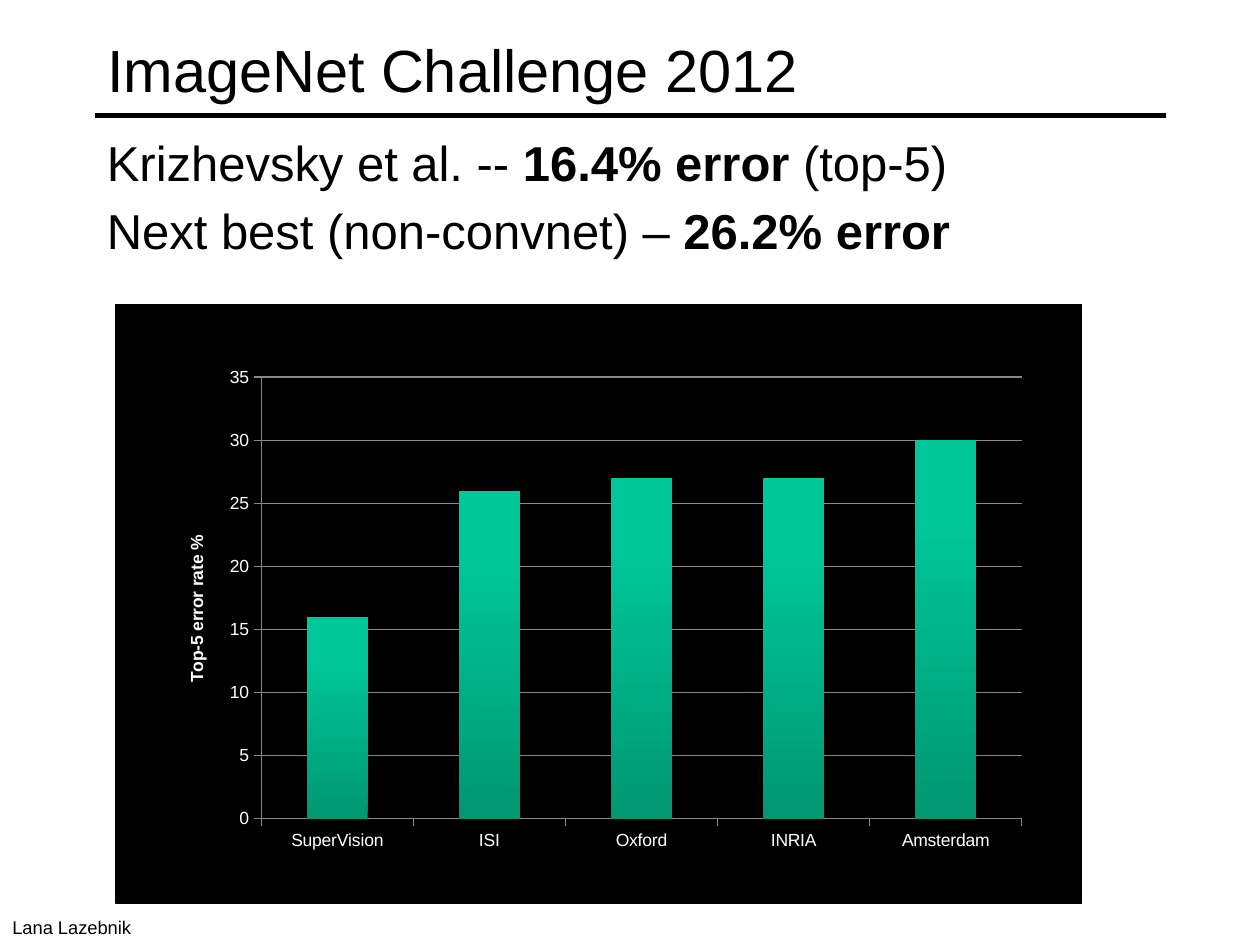
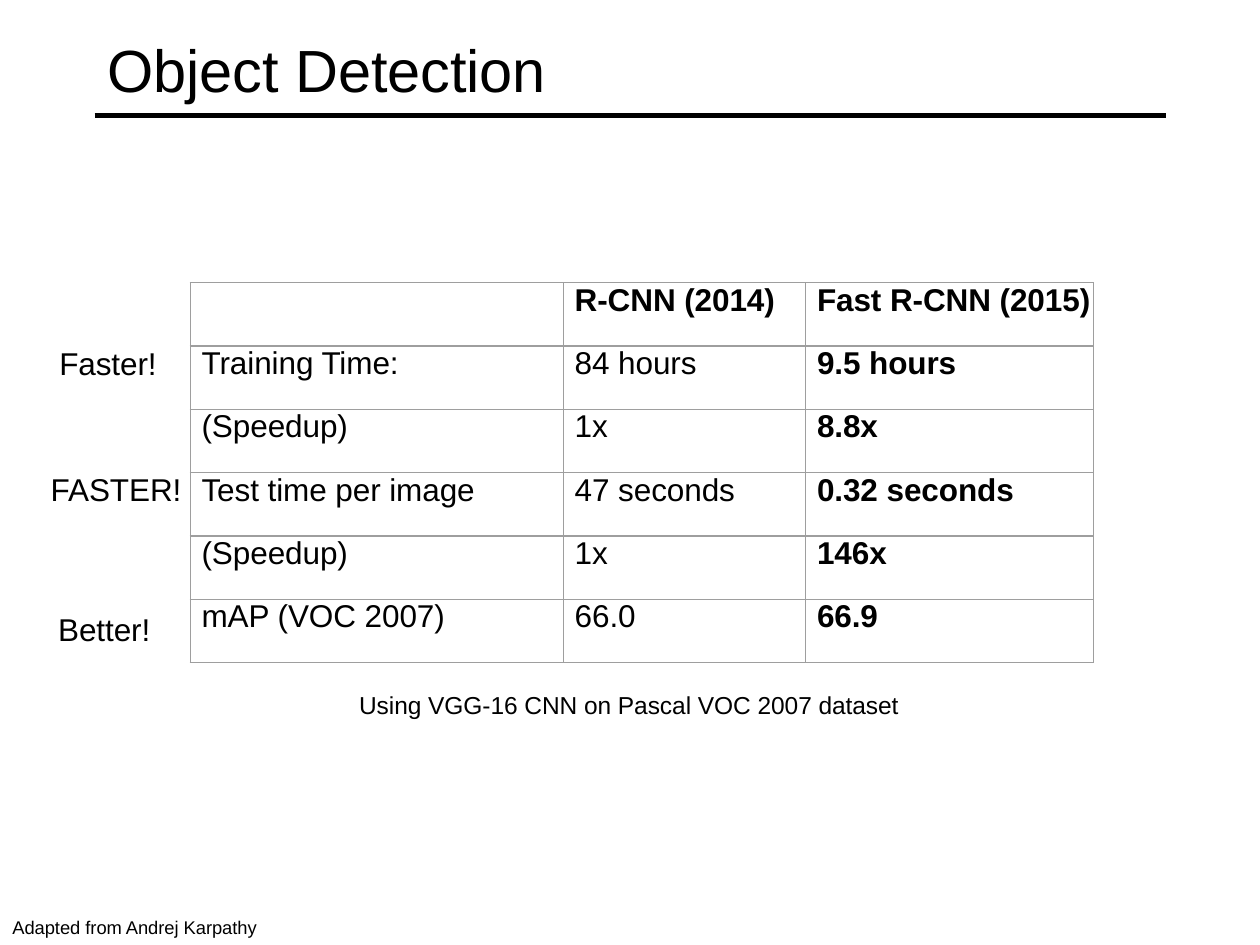
from lxml import etree
from pptx import Presentation
from pptx.chart.data import CategoryChartData
from pptx.dml.color import RGBColor
from pptx.enum.chart import XL_CHART_TYPE as ChartType, XL_TICK_MARK as TickMark
from pptx.enum.shapes import MSO_CONNECTOR as Connector, MSO_SHAPE as Shape
from pptx.enum.text import MSO_ANCHOR as Anchor, MSO_AUTO_SIZE as AutoSize, PP_ALIGN as Align
from pptx.oxml import parse_xml
from pptx.oxml.ns import nsdecls, qn
from pptx.util import Pt

FONT = "Arial"
BLACK, WHITE, GRID, BORDER = "000000", "FFFFFF", "888888", "9E9E9E"
BAR_TOP, BAR_BOTTOM = "00C798", "009772"
TIGHT = "-5"


def color(hex_string):
    return RGBColor.from_string(hex_string)


def write(paragraph, runs, size, spacing=None):
    paragraph.font.name = FONT
    paragraph.font.size = Pt(size)
    paragraph.font.color.rgb = color(BLACK)
    for text, bold in runs:
        run = paragraph.add_run()
        run.text = text
        run.font.bold = bold
        if spacing:
            run._r.get_or_add_rPr().set("spc", spacing)


presentation = Presentation()
presentation.slide_width, presentation.slide_height = Pt(720), Pt(540)

slides = []
for heading, credit, credit_width in [
    ("ImageNet Challenge 2012", "Lana Lazebnik", 83.5),
    ("Object Detection", "Adapted from Andrej Karpathy", 157.7),
]:
    slide = presentation.slides.add_slide(presentation.slide_layouts[5])
    slides.append(slide)

    title = slide.shapes.title
    title.left, title.top, title.width, title.height = Pt(54), Pt(6), Pt(612), Pt(66)
    title.text_frame.auto_size = AutoSize.NONE
    title.text_frame.vertical_anchor = Anchor.MIDDLE
    paragraph = title.text_frame.paragraphs[0]
    paragraph.alignment = Align.LEFT
    write(paragraph, [(heading, False)], 34)

    rule = slide.shapes.add_connector(Connector.STRAIGHT, Pt(54), Pt(66), Pt(666), Pt(66))
    rule.line.color.rgb = color(BLACK)
    rule.line.width = Pt(3)
    etree.SubElement(rule._element.spPr, qn("a:effectLst"))

    footer = slide.shapes.add_textbox(0, Pt(520), Pt(credit_width), Pt(20))
    footer.text_frame.word_wrap = False
    write(footer.text_frame.paragraphs[0], [(credit, False)], 10.5)

challenge, detection = slides

panel = challenge.shapes.add_shape(Shape.RECTANGLE, Pt(66), Pt(174), Pt(552), Pt(342))
panel.shadow.inherit = False
panel.fill.solid()
panel.fill.fore_color.rgb = color(BLACK)
panel.line.color.rgb = color(BLACK)
panel.line.width = Pt(0.75)

body = challenge.shapes.add_textbox(Pt(54), Pt(72), Pt(612), Pt(414))
body.text_frame.word_wrap = True
results = [
    [("Krizhevsky et al. -- ", False), ("16.4% error ", True), ("(top-5)", False)],
    [("Next best (non-convnet) – ", False), ("26.2% error", True)],
]
for index, runs in enumerate(results):
    paragraph = body.text_frame.add_paragraph() if index else body.text_frame.paragraphs[0]
    if index:
        paragraph.space_before = Pt(5.6)
    write(paragraph, runs, 28)

error_data = CategoryChartData()
error_data.categories = ["SuperVision", "ISI", "Oxford", "INRIA", "Amsterdam"]
error_data.add_series("Series 1", [16, 26, 27, 27, 30])
chart_width, chart_height = 504, 288
chart = challenge.shapes.add_chart(
    ChartType.COLUMN_CLUSTERED, Pt(90), Pt(204), Pt(chart_width), Pt(chart_height), error_data
).chart
chart.has_title = False
chart.has_legend = False
chart.font.name = FONT
chart.font.size = Pt(10)
chart.font.color.rgb = color(WHITE)

value_axis, category_axis = chart.value_axis, chart.category_axis
for axis in (value_axis, category_axis):
    axis.major_tick_mark = TickMark.OUTSIDE
    axis.minor_tick_mark = TickMark.NONE
    axis.format.line.color.rgb = color(GRID)
    axis.tick_labels.font.size = Pt(10)
    axis.tick_labels.font.color.rgb = color(WHITE)
value_axis.minimum_scale, value_axis.maximum_scale, value_axis.major_unit = 0, 35, 5
value_axis.major_gridlines.format.line.color.rgb = color(GRID)
value_axis.major_gridlines.format.line.width = Pt(0.75)
value_axis.axis_title.text_frame.text = "Top-5 error rate %"
axis_font = value_axis.axis_title.text_frame.paragraphs[0].font
axis_font.name, axis_font.size, axis_font.bold = FONT, Pt(10), True
axis_font.color.rgb = color(WHITE)

plot = chart.plots[0]
plot.gap_width = 150
plot.vary_by_categories = False
bar_fill = plot.series[0].format.fill
bar_fill.gradient()
bar_fill.gradient_angle = 90
for stop, shade, position in zip(bar_fill.gradient_stops, (BAR_BOTTOM, BAR_TOP), (0, 0.8)):
    stop.color.rgb = color(shade)
    stop.position = position

plot_area = chart._chartSpace.chart.plotArea
for old_layout in plot_area.findall(qn("c:layout")):
    plot_area.remove(old_layout)
plot_area.insert(0, parse_xml(
    f'<c:layout {nsdecls("c")}><c:manualLayout><c:layoutTarget val="inner"/>'
    '<c:xMode val="edge"/><c:yMode val="edge"/>'
    f'<c:x val="{59.3 / chart_width}"/><c:y val="{11.5 / chart_height}"/>'
    f'<c:w val="{434.6 / chart_width}"/><c:h val="{252.3 / chart_height}"/>'
    '</c:manualLayout></c:layout>'
))

rows = [
    ("", "R-CNN (2014)", "Fast R-CNN (2015)"),
    ("Training Time:", "84 hours", "9.5 hours"),
    ("(Speedup)", "1x", "8.8x"),
    ("Test time per image", "47 seconds", "0.32 seconds"),
    ("(Speedup)", "1x", "146x"),
    ("mAP (VOC 2007)", "66.0", "66.9"),
]
column_widths = [213.2, 138.5, 164.3]
table = detection.shapes.add_table(
    len(rows), len(column_widths), Pt(108.7), Pt(161.5), Pt(sum(column_widths)), Pt(217.2)
).table
table.first_row = table.horz_banding = False
for column, width in zip(table.columns, column_widths):
    column.width = Pt(width)
for row_index, row in enumerate(rows):
    table.rows[row_index].height = Pt(36.2)
    for column_index, text in enumerate(row):
        cell = table.cell(row_index, column_index)
        cell.margin_left = Pt(6.5)
        cell.margin_right = cell.margin_top = cell.margin_bottom = 0
        for side in ("lnL", "lnR", "lnT", "lnB"):
            cell._tc.get_or_add_tcPr().append(parse_xml(
                f'<a:{side} {nsdecls("a")} w="{Pt(0.75)}"><a:solidFill>'
                f'<a:srgbClr val="{BORDER}"/></a:solidFill></a:{side}>'
            ))
        cell.fill.background()
        bold = row_index == 0 or column_index == 2
        runs = [(text, bold)] if text else []
        write(cell.text_frame.paragraphs[0], runs, 18, TIGHT)

caption = detection.shapes.add_textbox(Pt(204.5), Pt(396), Pt(312), Pt(16))
verdicts = detection.shapes.add_textbox(Pt(27.4), Pt(196.6), Pt(77.8), Pt(175))
for box in (caption, verdicts):
    frame = box.text_frame
    frame.word_wrap = True
    frame.margin_left = frame.margin_right = frame.margin_top = frame.margin_bottom = 0

paragraph = caption.text_frame.paragraphs[0]
paragraph.line_spacing = Pt(15.2)
paragraph._p.get_or_add_pPr().set("marL", str(Pt(0.7)))
write(paragraph, [("Using VGG-16 CNN on Pascal VOC 2007 dataset", False)], 14, TIGHT)

for index, (verdict, gap, indent, alignment) in enumerate([
    ("Faster!", 0, 6.5, Align.LEFT),
    ("FASTER!", 50.2, 0, Align.CENTER),
    ("Better!", 58.7, 5.8, Align.LEFT),
]):
    frame = verdicts.text_frame
    paragraph = frame.add_paragraph() if index else frame.paragraphs[0]
    paragraph.alignment = alignment
    if gap:
        paragraph.space_before = Pt(gap)
    paragraph._p.get_or_add_pPr().set("marL", str(Pt(indent)))
    write(paragraph, [(verdict, False)], 18, TIGHT)

presentation.save("out.pptx")
